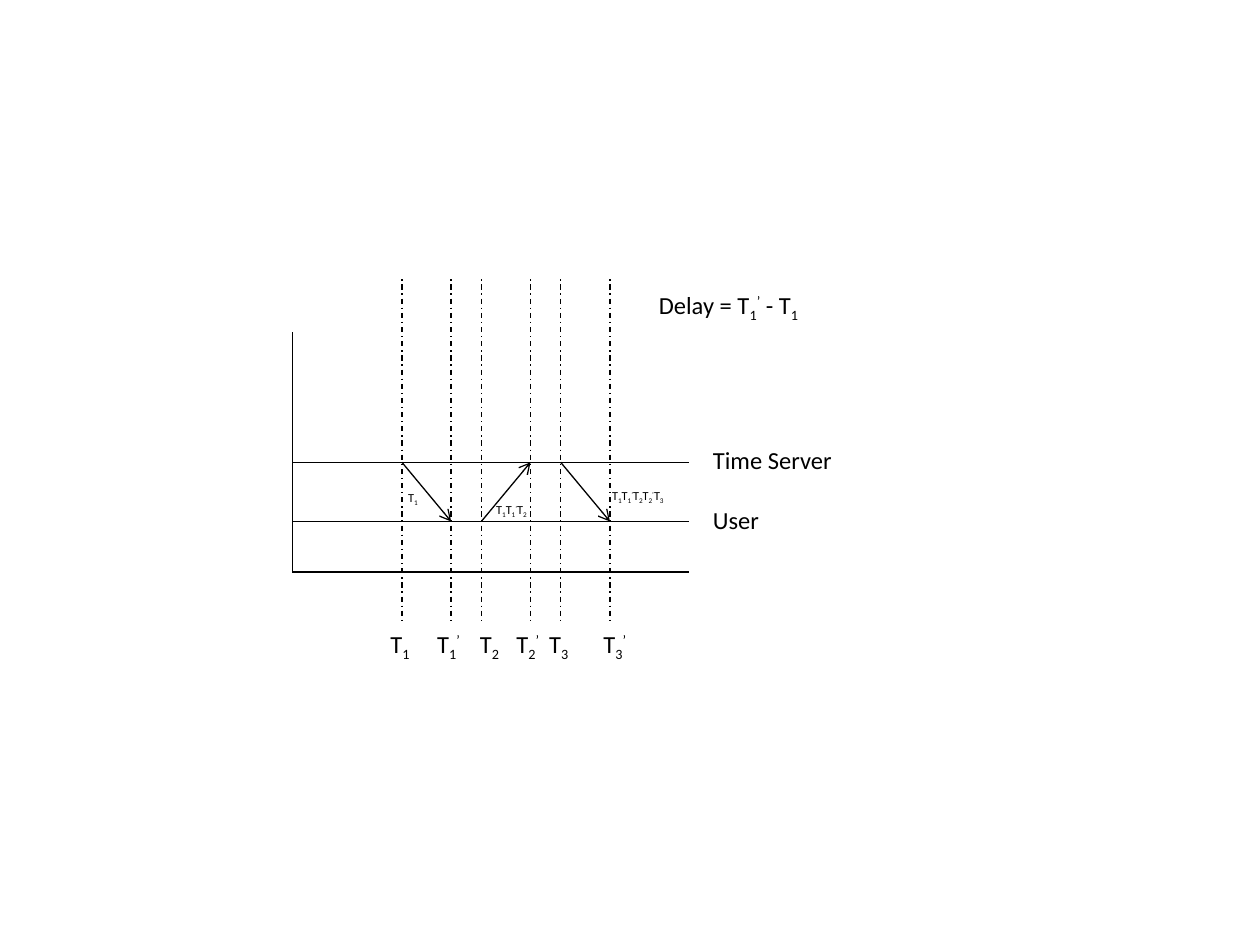
import lxml.etree
import pptx
import pptx.dml.color
import pptx.enum.dml
import pptx.enum.shapes
import pptx.enum.text
import pptx.oxml.ns
import pptx.util

Pt = pptx.util.Pt
qn = pptx.oxml.ns.qn
COLORS = {"ink": "000000", "paper": "FFFFFF"}
FRAME = {"margin_left": Pt(7.2), "margin_right": Pt(7.2), "margin_top": Pt(3.6),
         "margin_bottom": Pt(3.6), "word_wrap": True,
         "vertical_anchor": pptx.enum.text.MSO_ANCHOR.TOP}
BASELINES = {"_": "-25000", "^": "30000"}
EVENTS = ["T _1", "T _1 ^’", "T _2", "T _2 ^’", "T _3", "T _3 ^’"]


def rgb(name):
    """Return the named colour."""
    return pptx.dml.color.RGBColor.from_string(COLORS[name])


def add_line(s, x1, y1, x2, y2, dashed=False, arrow=False):
    """Draw a thin line, optionally dashed or ending in an arrow."""
    c = s.shapes.add_connector(pptx.enum.shapes.MSO_CONNECTOR.STRAIGHT,
                               Pt(x1), Pt(y1), Pt(x2), Pt(y2))
    c.line.width = Pt(0.75)
    c.line.color.rgb = rgb("ink")
    if dashed:
        c.line.dash_style = pptx.enum.dml.MSO_LINE.DASH_DOT
    sp_pr = c._element.spPr
    if arrow:
        lxml.etree.SubElement(sp_pr.find(qn("a:ln")), qn("a:tailEnd"), type="arrow")
    lxml.etree.SubElement(sp_pr, qn("a:effectLst"))


def add_label(s, x, y, w, h, pieces, size=14):
    """Write pieces of text, those led by _ or ^ set low or high."""
    tf = s.shapes.add_textbox(Pt(x), Pt(y), Pt(w), Pt(h)).text_frame
    for name, value in FRAME.items():
        setattr(tf, name, value)
    p = tf.paragraphs[0]
    for piece in pieces:
        r = p.add_run()
        base = BASELINES.get(piece[0])
        r.text = piece[1:] if base else piece
        for name, value in {"size": Pt(size), "name": "Calibri"}.items():
            setattr(r.font, name, value)
        r.font.color.rgb = rgb("ink")
        if base:
            r._r.get_or_add_rPr().set("baseline", base)


def add_timeline(s, x, y, w, h):
    """Draw the axes, event lines, messages and labels in the given box."""
    server, user, bottom = y + 74.2, y + 108, y + h
    add_line(s, x, bottom, x, y)
    for level in (server, user, bottom):
        add_line(s, x, level, x + w, level)
    for level, name in ((server, "Time Server"), (user, "User")):
        add_label(s, x + w + 6.5, level - 13.2, 108, 24.2, [name])

    times = [x + 62.7 + 45.36 * i + d for i in range(3) for d in (0, 28.1)]
    shifts = (-13.7, -15.1, -7.9, -15.1, -13.7, -10.8)
    for time, shift, name in zip(times, shifts, EVENTS):
        add_line(s, time, y - 84.2, time, bottom + 28, dashed=True)
        add_label(s, time + shift, bottom + 29, 30, 24.2, name.split())

    messages = ((server, user, -3.6, 12.2, 1), (user, server, 1.4, 19.5, 3),
                (server, user, 22.3, 11.5, 5))
    for i, (start, end, dx, dy, count) in enumerate(messages):
        add_line(s, times[2 * i], start, times[2 * i + 1], end, arrow=True)
        stamps = " ".join(EVENTS[:count]).split()
        add_label(s, times[2 * i] + dx, server + dy, 30 + 18 * count, 16, stamps, 7)


def add_formula(s, x, y, w, h):
    """Write the delay formula in the given box."""
    add_label(s, x, y, w, h, ["Delay = T", "_1", "^’", " - T", "_1"])


def add_top_panel(s, x, y, w, h):
    """Place the plain panel over the upper ends of the event lines."""
    sp = s.shapes.add_shape(pptx.enum.shapes.MSO_SHAPE.RECTANGLE,
                            Pt(x), Pt(y), Pt(w), Pt(h))
    sp.shadow.inherit = False
    sp.fill.solid()
    sp.fill.fore_color.rgb = rgb("paper")
    sp.line.color.rgb = rgb("paper")
    sp.line.width = Pt(2)


def build():
    """Build and save the slide."""
    prs = pptx.Presentation()
    prs.slide_width, prs.slide_height = Pt(720), Pt(540)
    s = prs.slides.add_slide(prs.slide_layouts[6])
    add_timeline(s, 167, 190, 226.8, 136.8)
    add_formula(s, 369.4, 162, 108, 52.6)
    add_top_panel(s, 212.4, 100, 198.7, 56.9)
    prs.save("out.pptx")


build()
